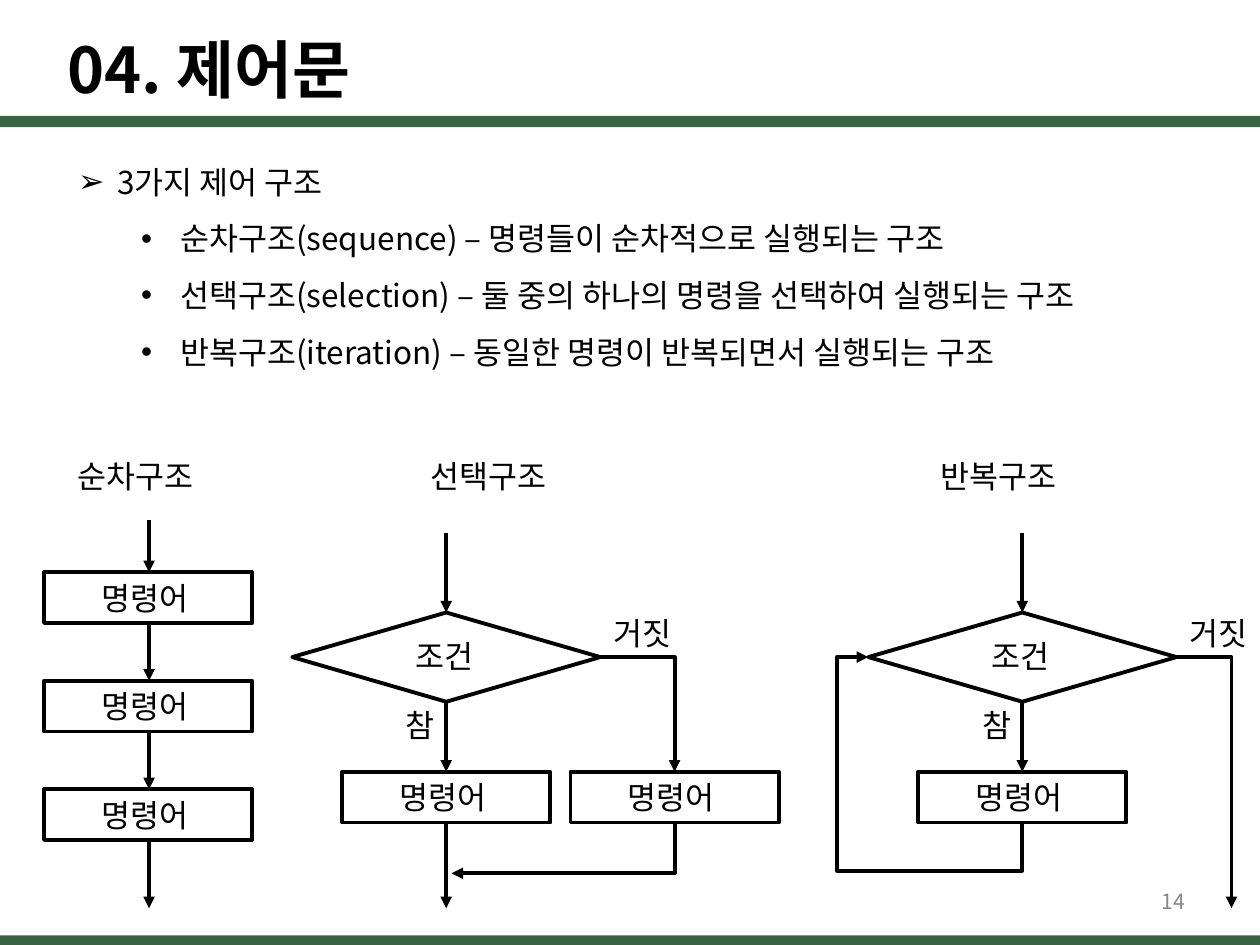
from lxml import etree
from pptx import Presentation
from pptx import util as u
from pptx.dml import color
from pptx.enum import shapes, text
from pptx.oxml import ns

FONT = "Noto Sans CJK KR"
BLACK, GREEN, GREY = "000000", "3A6245", "888888"
LINE = 2.2

TITLE = "04. 제어문"
HEAD = "3가지 제어 구조"
POINTS = [
    ("순차구조(sequence) ", "– ", "명령들이 순차적으로 실행되는 구조"),
    ("선택구조(selection) – 둘 중의 하나의 명령을 선택하여 실행되는 구조",),
    ("반복구조(iteration) ", "– 동일한 명령이 반복되면서 실행되는 구조"),
]
NAMES = [(43.2, "순차구조"), (244.8, "선택구조"), (536.4, "반복구조")]
STEP, COND, YES, NO = "명령어", "조건", "참", "거짓"
PAGE = "14"

BOX_W, BOX_H = 119, 29
SEQ_X, SEQ_Y, SEQ_GAP = 25.2, 327, 62
SEQ_MID = 85.2
SEL_X, LOOP_X = 167, 496.2          # left tips of the two diamonds
DIA_W, DIA_H, DIA_Y = 176, 51, 350
STEP_Y, JOIN_Y, END_Y = 441, 499, 519
SIDE = 130.5                        # from the yes step to the no step

prs = Presentation()
prs.slide_width, prs.slide_height = u.Pt(720), u.Pt(540)
slide = prs.slides.add_slide(prs.slide_layouts[6])


def rgb(code):
    return color.RGBColor.from_string(code)


def sub(node, tag, **attrs):
    return etree.SubElement(node, ns.qn(tag), attrs)


def write(para, runs, size=18, code=BLACK, bold=False):
    for part in runs:
        run = para.add_run()
        run.text = part
        font = run.font
        font.size, font.bold, font.name = u.Pt(size), bold, FONT
        font.color.rgb = rgb(code)
        sub(font._element, "a:ea", typeface=FONT)


def frame(shape, left=0, top=0):
    body = shape.text_frame
    body.margin_left, body.margin_top = u.Pt(left), u.Pt(top)
    body.margin_right = body.margin_bottom = 0
    body.word_wrap = True
    body.vertical_anchor = text.MSO_ANCHOR.TOP
    return body


def label(x, y, w, h, words, **look):
    box = slide.shapes.add_textbox(u.Pt(x), u.Pt(y), u.Pt(w), u.Pt(h))
    body = frame(box, 1, 1)
    write(body.paragraphs[0], [words], **look)
    return body


def indent(para, left, hang=0, mark=None):
    """Set the left indent in points, and a hanging bullet if given."""
    props = para._p.get_or_add_pPr()
    props.set("marL", str(u.Pt(left)))
    props.set("indent", str(u.Pt(-hang)))
    if mark:
        sub(props, "a:buFont", typeface="Arial")
        sub(props, "a:buChar", char=mark)


def shape(kind, x, y, w, h, fill=None):
    item = slide.shapes.add_shape(kind, u.Pt(x), u.Pt(y), u.Pt(w), u.Pt(h))
    item.shadow.inherit = False
    if fill:
        item.fill.solid()
        item.fill.fore_color.rgb = rgb(fill)
        item.line.fill.background()
    else:
        item.fill.background()
        item.line.color.rgb = rgb(BLACK)
        item.line.width = u.Pt(LINE)
    return item


def step(x, y):
    body = frame(shape(shapes.MSO_SHAPE.RECTANGLE, x, y, BOX_W, BOX_H), 32.6)
    body.vertical_anchor = text.MSO_ANCHOR.MIDDLE
    para = body.paragraphs[0]
    para.alignment = text.PP_ALIGN.LEFT
    write(para, [STEP])


def arrow(*spots):
    """Draw a line through the spots with a head at the last one."""
    if len(spots) == 2:
        ends = [u.Pt(v) for spot in spots for v in spot]
        item = slide.shapes.add_connector(shapes.MSO_CONNECTOR.STRAIGHT, *ends)
        sub(item._element.spPr, "a:effectLst")
    else:
        pts = [(u.Pt(x), u.Pt(y)) for x, y in spots]
        path = slide.shapes.build_freeform(*pts[0])
        path.add_line_segments(pts[1:], close=False)
        item = path.convert_to_shape()
        item.fill.background()
        item.shadow.inherit = False
    item.line.color.rgb = rgb(BLACK)
    item.line.width = u.Pt(LINE)
    sub(item.line._get_or_add_ln(), "a:tailEnd", type="triangle")


def branch(x):
    """Draw entry, diamond and yes step; return key places."""
    mid, right, level = x + DIA_W / 2, x + DIA_W, DIA_Y + DIA_H / 2
    shape(shapes.MSO_SHAPE.DIAMOND, x, DIA_Y, DIA_W, DIA_H)
    arrow((mid, 304.6), (mid, DIA_Y))
    arrow((mid, DIA_Y + DIA_H), (mid, STEP_Y))
    left = mid - BOX_W / 2
    step(left, STEP_Y)
    label(right + 6.5, 350, 38, 24, NO)
    body = label(mid - 24, 363, 43, 63, COND)
    indent(body.paragraphs[0], 5.3)
    para = body.add_paragraph()
    para.space_before = u.Pt(17.6)
    write(para, [YES])
    return left, mid, right, level


# Title and bands
label(37.4, 16.6, 300, 45, TITLE, size=36, bold=True)
for y, h in [(66.2, 6.5), (534.5, 5.5)]:
    shape(shapes.MSO_SHAPE.RECTANGLE, 0, y, 720, h, GREEN)

# Bullets
box = slide.shapes.add_textbox(u.Pt(43.2), u.Pt(81.4), u.Pt(618), u.Pt(132))
body = frame(box, 0, 11.5)
indent(body.paragraphs[0], 23.8, 22.3, "➢")
write(body.paragraphs[0], [HEAD])
for runs in POINTS:
    para = body.add_paragraph()
    para.level = 1
    indent(para, 59.8, 22.3, "•")
    para.space_before = u.Pt(10.8)
    write(para, runs)

for x, name in NAMES:
    label(x, 260, 76, 24, name)

# Sequence
arrow((SEQ_MID, 297.4), (SEQ_MID, SEQ_Y))
for i in range(3):
    top = SEQ_Y + i * SEQ_GAP
    step(SEQ_X, top)
    arrow((SEQ_MID, top + BOX_H), (SEQ_MID, top + SEQ_GAP if i < 2 else END_Y))

# Selection
left, mid, right, level = branch(SEL_X)
far, foot = mid + SIDE, STEP_Y + BOX_H
step(left + SIDE, STEP_Y)
arrow((right, level), (far, level), (far, STEP_Y))
arrow((far, foot), (far, JOIN_Y), (mid + 3, JOIN_Y))
arrow((mid, foot), (mid, END_Y))

# Iteration
left, mid, right, level = branch(LOOP_X)
back, out = LOOP_X - 18, right + 31.5
arrow((right, level), (out, level), (out, END_Y))
arrow((mid, foot), (mid, 497.5), (back, 497.5), (back, level), (LOOP_X, level))

label(662.7, 506.5, 20, 18, PAGE, size=12, code=GREY)

prs.save("out.pptx")
